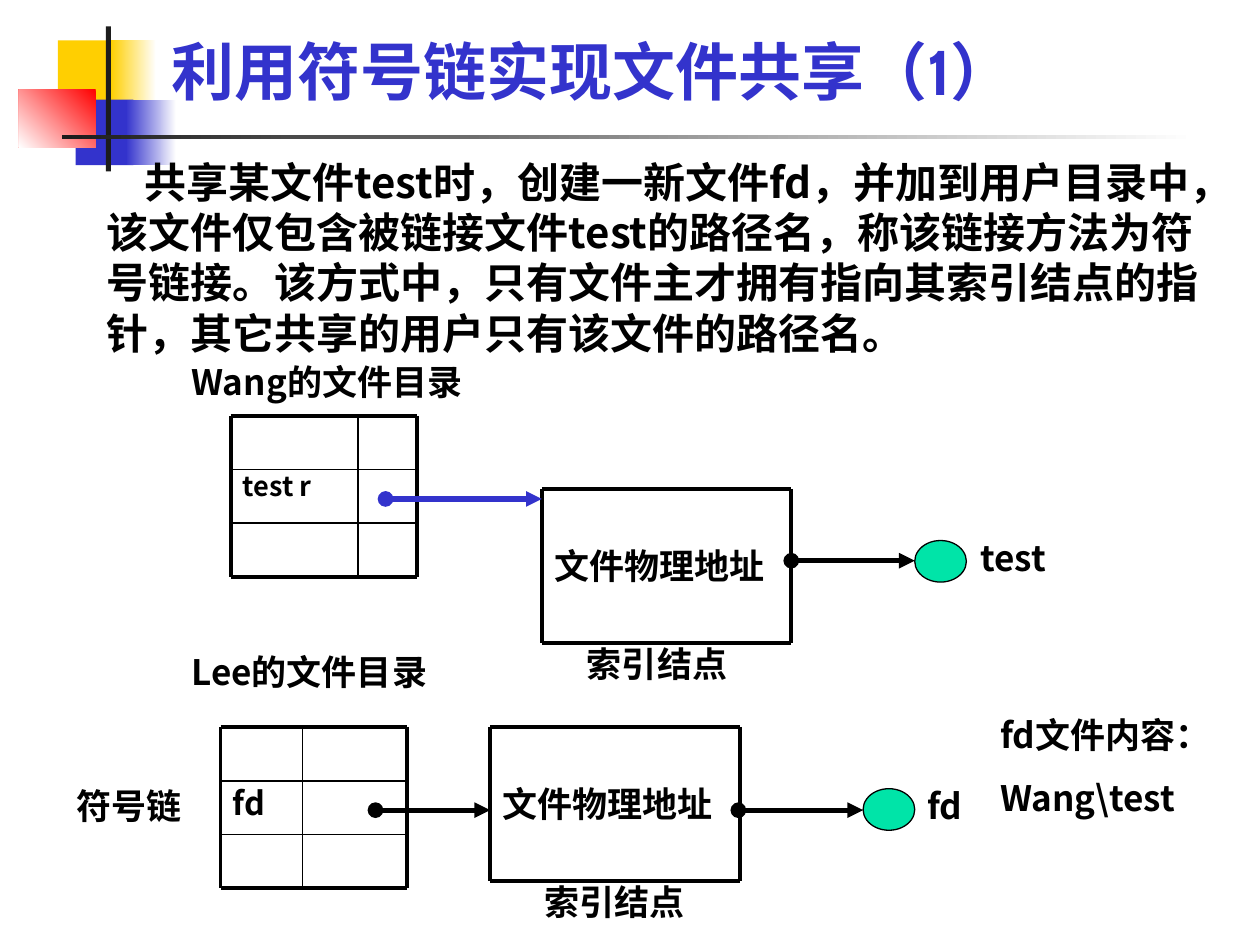
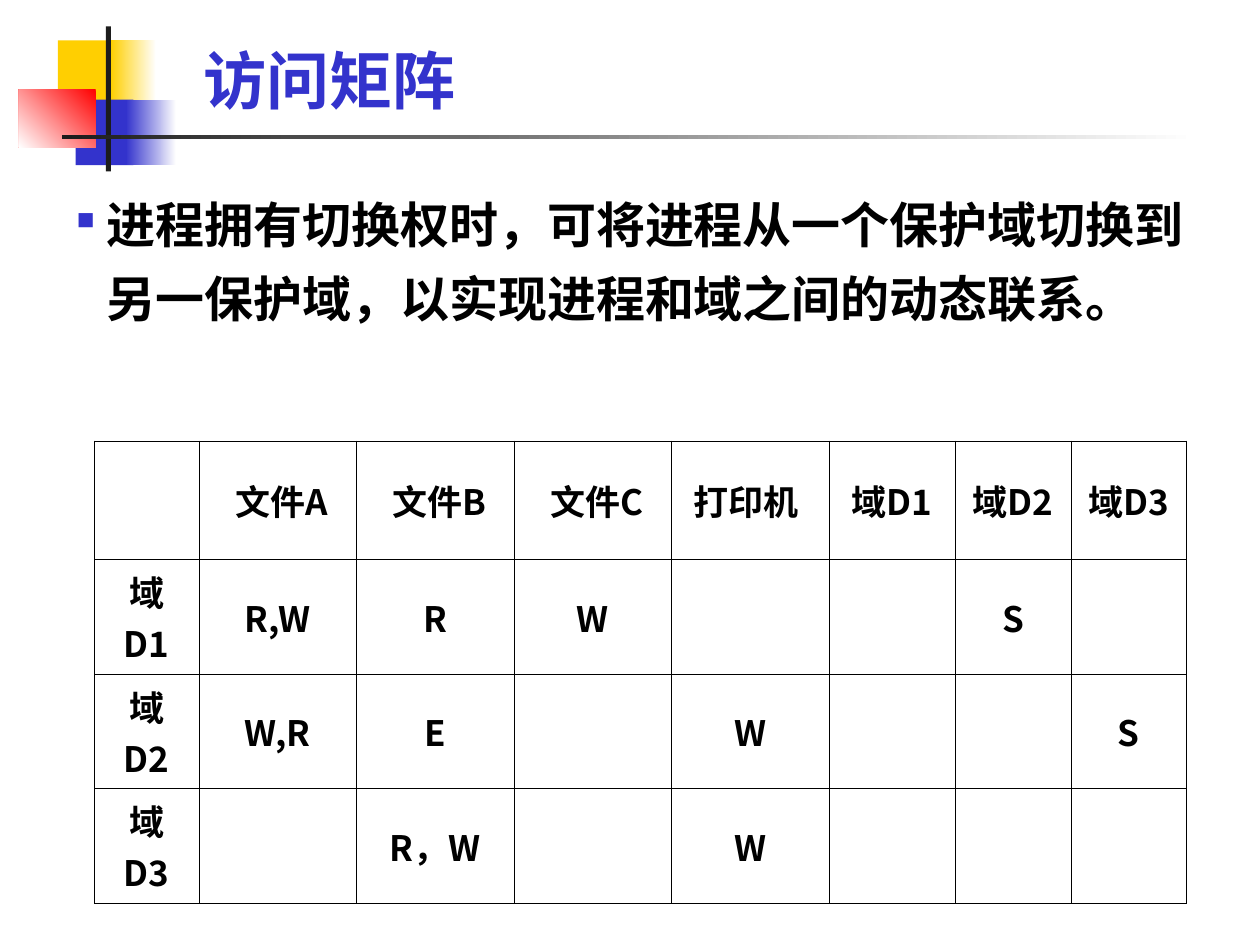
import dataclasses
import itertools
import typing

import lxml.etree
import pptx
import pptx.dml.color
import pptx.enum.shapes
import pptx.enum.text
import pptx.oxml.ns
import pptx.util

Inches = pptx.util.Inches
Pt = pptx.util.Pt
qn = pptx.oxml.ns.qn
Kind = pptx.enum.shapes.MSO_SHAPE
Anchor = pptx.enum.text.MSO_ANCHOR
Align = pptx.enum.text.PP_ALIGN

HUES = {
    "white": "FFFFFF",
    "black": "000000",
    "ink": "1C1C1C",
    "blue": "3333CC",
    "gold": "FFCF01",
    "red": "FF0000",
    "mint": "00E4A8",
}
HAN = "Noto Sans CJK SC"
HEAD = "Cabin"
Box = tuple[float, float, float, float]
Spot = tuple[float, float]


@dataclasses.dataclass
class Block:
    box: Box
    hue: str
    fade: str = ""
    angle: int = 180


@dataclasses.dataclass
class Label:
    box: Box
    lines: list[str]
    size: float = 20
    face: str = HAN
    hue: str = "black"
    anchor: Anchor = Anchor.TOP
    pitch: float = 1.0
    indent: float = 0
    bullet: str = ""
    wrap: bool = True


@dataclasses.dataclass
class Folder:
    left: float
    top: float
    split: float
    entry: Label


@dataclasses.dataclass
class Node:
    left: float
    top: float
    note: Spot


@dataclasses.dataclass
class Link:
    start: Spot
    end: Spot
    hue: str = "black"


BLOCKS = [
    Block((0.46, 0.32, 0.48, 0.52), "gold"),
    Block((0.88, 0.32, 0.36, 0.52), "white", "gold"),
    Block((0.6, 0.79, 0.46, 0.52), "blue"),
    Block((1, 0.79, 0.4, 0.52), "white", "blue"),
    Block((0.15, 0.71, 0.61, 0.46), "red", "white", 225),
    Block((0.84, 0.21, 0.04, 1.15), "ink"),
    Block((0.49, 1.07, 9, 0.03), "white", "ink"),
]

FOLDERS = [
    Folder(1.83, 3.3, 2.84, Label((1.83, 3.73, 1.01, 0.43), ["test r"], 15.5, pitch=0.8)),
    Folder(1.75, 5.77, 2.4, Label((1.75, 6.2, 0.66, 0.43), ["fd"], 18.5, pitch=0.9)),
]
NODES = [Node(4.3, 3.88, (4.56, 5.05)), Node(3.89, 5.77, (4.22, 6.94))]
FILES = [(7.26, 4.29), (6.85, 6.26)]
LINKS = [
    Link((3.06, 3.96), (4.3, 3.96), "blue"),
    Link((6.28, 4.45), (7.26, 4.45)),
    Link((2.98, 6.43), (3.89, 6.43)),
    Link((5.86, 6.43), (6.85, 6.43)),
]
LABELS = [
    Label(
        (0.75, 1.19, 8.9, 1.7),
        ["共享某文件test时，创建一新文件fd，并加到用户目录中，该文件仅包含被链接文件test的路径名，"
         "称该链接方法为符号链接。该方式中，只有文件主才拥有指向其索引结点的指针，"
         "其它共享的用户只有该文件的路径名。"],
        24,
        indent=0.3,
    ),
    Label((1.42, 2.81, 2.39, 0.44), ["Wang的文件目录"]),
    Label((1.42, 5.11, 2.39, 0.44), ["Lee的文件目录"]),
    Label((7.68, 4.21, 0.82, 0.77), ["test"]),
    Label((7.26, 6.18, 0.82, 0.44), ["fd"]),
    Label((7.84, 5.61, 1.65, 1.28), ["fd文件内容：", "Wang\\test"]),
    Label((0.51, 6.18, 1.32, 0.44), ["符号链"]),
]

WIDTHS = [0.83, 1.25, 1.25, 1.25, 1.25, 1, 0.92, 0.92]
HEIGHTS = [0.94, 0.91, 0.91, 0.91]
RIGHTS = [
    ["", " 文件A", " 文件B", " 文件C", "打印机 ", "域D1", "域D2", "域D3"],
    ["域D1", "R,W", "R", "W", "", "", "S", ""],
    ["域D2", "W,R", "E", "", "W", "", "", "S"],
    ["域D3", "", "R，W", "", "W", "", "", ""],
]


def tint(name: str) -> pptx.dml.color.RGBColor:
    return pptx.dml.color.RGBColor.from_string(HUES[name])


def place(box: Box) -> list[pptx.util.Length]:
    return [Inches(side) for side in box]


def add_run(para: typing.Any, text: str, size: float, face: str, hue: str) -> None:
    run = para.add_run()
    run.text = text
    font = run.font
    font.size = Pt(size)
    font.bold = True
    font.color.rgb = tint(hue)
    font.name = face
    east = lxml.etree.SubElement(run._r.get_or_add_rPr(), qn("a:ea"))
    east.set("typeface", HAN)


def set_bullet(para: typing.Any, mark: str, hue: str, scale: int) -> None:
    props = para._p.get_or_add_pPr()
    color = lxml.etree.SubElement(props, qn("a:buClr"))
    lxml.etree.SubElement(color, qn("a:srgbClr")).set("val", HUES[hue])
    lxml.etree.SubElement(props, qn("a:buSzPct")).set("val", str(scale * 1000))
    lxml.etree.SubElement(props, qn("a:buChar")).set("char", mark)


def add_label(slide: typing.Any, label: Label) -> None:
    frame = slide.shapes.add_textbox(*place(label.box)).text_frame
    frame.word_wrap = label.wrap
    frame.vertical_anchor = label.anchor
    for rank, line in enumerate(label.lines):
        para = frame.add_paragraph() if rank else frame.paragraphs[0]
        para.alignment = Align.LEFT
        para.line_spacing = label.pitch
        if rank:
            para.space_before = Pt(12.5)
        if label.indent:
            props = para._p.get_or_add_pPr()
            props.set("marL", str(Inches(max(0, -label.indent))))
            props.set("indent", str(Inches(label.indent)))
        if label.bullet:
            set_bullet(para, label.bullet, "blue", 50)
        add_run(para, line, label.size, label.face, label.hue)


def add_shape(slide: typing.Any, kind: Kind, box: Box) -> typing.Any:
    shape = slide.shapes.add_shape(kind, *place(box))
    shape.shadow.inherit = False
    shape.line.fill.background()
    return shape


def add_block(slide: typing.Any, block: Block) -> None:
    fill = add_shape(slide, Kind.RECTANGLE, block.box).fill
    if block.fade:
        fill.gradient()
        fill.gradient_angle = block.angle
        for stop, hue in zip(fill.gradient_stops, (block.hue, block.fade)):
            stop.color.rgb = tint(hue)
    else:
        fill.solid()
        fill.fore_color.rgb = tint(block.hue)


def add_line(slide: typing.Any, start: Spot, end: Spot, width: float, hue: str = "black") -> typing.Any:
    line = slide.shapes.add_connector(
        pptx.enum.shapes.MSO_CONNECTOR.STRAIGHT, *place((*start, *end))
    )
    line.line.color.rgb = tint(hue)
    line.line.width = Pt(width)
    lxml.etree.SubElement(line._element.spPr, qn("a:effectLst"))
    return line


def add_link(slide: typing.Any, link: Link) -> None:
    line = add_line(slide, link.start, link.end, 3, link.hue)
    stroke = line._element.spPr.find(qn("a:ln"))
    for tag, form in (("a:headEnd", "oval"), ("a:tailEnd", "triangle")):
        lxml.etree.SubElement(stroke, qn(tag)).set("type", form)


def add_frame(slide: typing.Any, box: Box) -> None:
    left, top, wide, high = box
    for level in (top, top + high):
        add_line(slide, (left, level), (left + wide, level), 2.25)
    for side in (left, left + wide):
        add_line(slide, (side, top), (side, top + high), 2.25)


def add_folder(slide: typing.Any, folder: Folder) -> None:
    wide, high = 1.48, 1.28
    left, top = folder.left, folder.top
    add_label(slide, folder.entry)
    add_frame(slide, (left, top, wide, high))
    for step in (1, 2):
        level = top + step * high / 3
        add_line(slide, (left, level), (left + wide, level), 1)
    add_line(slide, (folder.split, top), (folder.split, top + high), 1)


def add_node(slide: typing.Any, node: Node) -> None:
    box = (node.left, node.top, 1.98, 1.22)
    add_label(slide, Label(box, ["文件物理地址"], anchor=Anchor.MIDDLE))
    add_frame(slide, box)
    add_label(slide, Label((*node.note, 1.31, 0.44), ["索引结点"], face=HEAD, wrap=False))


def add_file(slide: typing.Any, spot: Spot) -> None:
    shape = add_shape(slide, Kind.OVAL, (*spot, 0.41, 0.33))
    shape.fill.solid()
    shape.fill.fore_color.rgb = tint("mint")
    shape.line.color.rgb = tint("black")
    shape.line.width = Pt(0.75)


def add_border(cell: typing.Any) -> None:
    props = cell._tc.get_or_add_tcPr()
    for side in "LRTB":
        edge = lxml.etree.SubElement(props, qn(f"a:ln{side}"))
        edge.set("w", str(Pt(0.45)))
        paint = lxml.etree.SubElement(edge, qn("a:solidFill"))
        lxml.etree.SubElement(paint, qn("a:srgbClr")).set("val", HUES["black"])


def add_grid(slide: typing.Any, left: float, top: float) -> None:
    box = (left, top, sum(WIDTHS), sum(HEIGHTS))
    table = slide.shapes.add_table(len(HEIGHTS), len(WIDTHS), *place(box)).table
    table.first_row = table.horz_banding = False
    for col, width in zip(table.columns, WIDTHS):
        col.width = Inches(width)
    for row, height in zip(table.rows, HEIGHTS):
        row.height = Inches(height)
    for cell, text in zip(table.iter_cells(), itertools.chain(*RIGHTS)):
        add_border(cell)
        cell.fill.background()
        cell.vertical_anchor = Anchor.MIDDLE
        para = cell.text_frame.paragraphs[0]
        para.alignment = Align.CENTER
        if text:
            add_run(para, text, 20, HAN, "black")


def add_page(deck: typing.Any, title: str, box: Box) -> typing.Any:
    slide = deck.slides.add_slide(deck.slide_layouts[6])
    slide.background.fill.solid()
    slide.background.fill.fore_color.rgb = tint("white")
    for block in BLOCKS:
        add_block(slide, block)
    add_label(slide, Label(box, [title], 36, HEAD, "blue", Anchor.BOTTOM))
    return slide


def main() -> None:
    deck = pptx.Presentation()
    deck.slide_width, deck.slide_height = Inches(10), Inches(7.5)

    share = add_page(deck, "利用符号链实现文件共享（1）", (1.26, 0.21, 8.52, 0.7))
    jobs = ((add_folder, FOLDERS), (add_node, NODES), (add_file, FILES),
            (add_link, LINKS), (add_label, LABELS))
    for draw, items in jobs:
        for item in items:
            draw(share, item)

    matrix = add_page(deck, "访问矩阵", (1.52, -0.27, 8.52, 1.25))
    add_grid(matrix, 0.75, 3.5)
    add_label(matrix, Label(
        (0.51, 1.38, 9.17, 1.27),
        ["进程拥有切换权时，可将进程从一个保护域切换到另一保护域，以实现进程和域之间的动态联系。"],
        28, pitch=1.25, indent=-0.24, bullet="■",
    ))
    deck.save("out.pptx")


if __name__ == "__main__":
    main()
